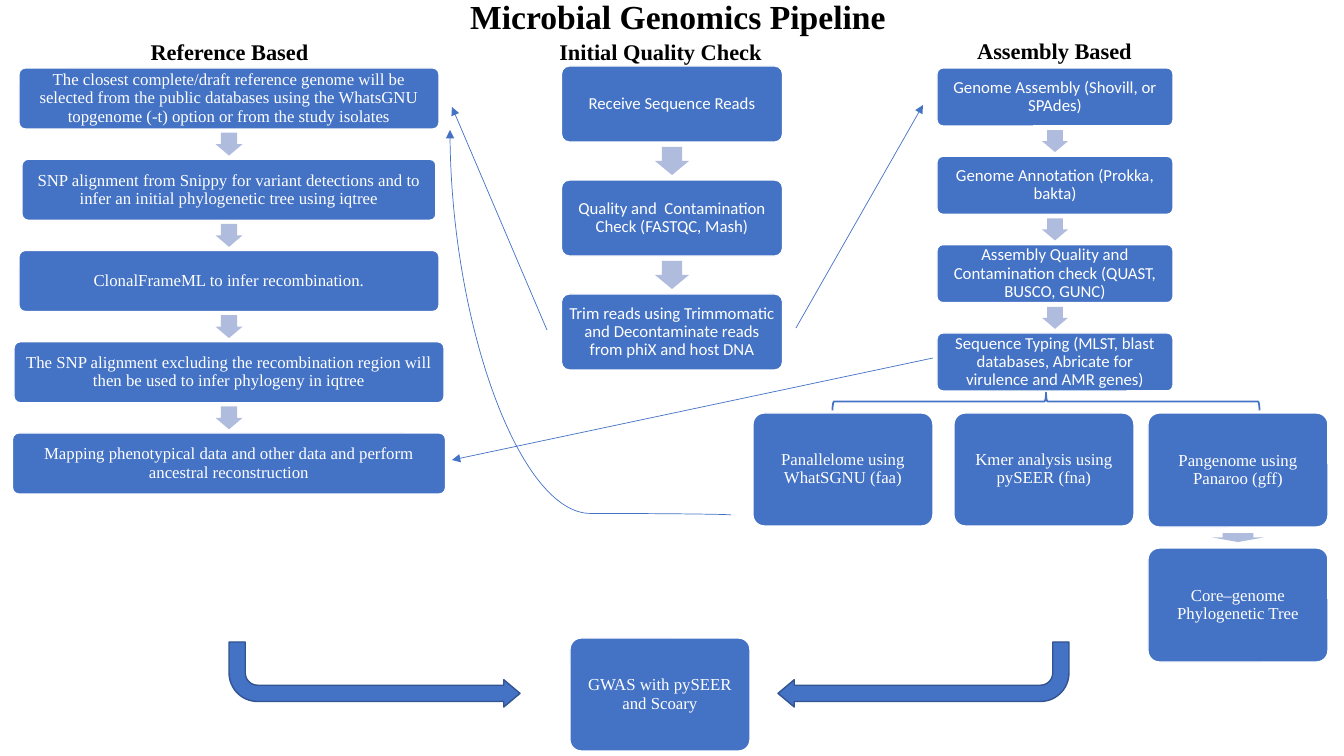
from dataclasses import dataclass

from lxml.etree import SubElement
from pptx import Presentation
from pptx.dml.color import RGBColor
from pptx.enum.shapes import MSO_CONNECTOR, MSO_SHAPE
from pptx.enum.text import MSO_ANCHOR, PP_ALIGN
from pptx.oxml.ns import qn
from pptx.util import Emu, Pt

BLUE = RGBColor(0x44, 0x72, 0xC4)
PALE_BLUE = RGBColor(0xB0, 0xBC, 0xDE)
DARK_BLUE = RGBColor(0x32, 0x54, 0x91)
WHITE = RGBColor(0xFF, 0xFF, 0xFF)
BLACK = RGBColor(0, 0, 0)
SERIF, SANS = "Times New Roman", "Calibri"
EMU_PER_PIXEL = 914400 / 100.8


@dataclass
class Heading:
    text: str
    left: int
    top: int
    width: int
    height: int
    size: int


@dataclass
class Step:
    text: str
    width: int


@dataclass
class Column:
    """Boxes spread evenly from first_top to last_top, with arrows in the gaps."""
    centre: int
    first_top: int
    last_top: int
    height: int
    font: str
    steps: list[Step]
    arrow_length: int = 0
    arrow_breadth: int = 0


@dataclass
class Link:
    start: tuple[int, int]
    end: tuple[int, int]
    kind: MSO_CONNECTOR = MSO_CONNECTOR.STRAIGHT


HEADINGS = [
    Heading("Microbial Genomics Pipeline", 320, -9, 716, 50, 24),
    Heading("Reference Based", -9, 33, 477, 37, 16),
    Heading("Initial Quality Check", 422, 33, 477, 37, 16),
    Heading("Assembly Based", 816, 32, 477, 37, 16),
]

COLUMNS = [
    Column(672, 66, 294, 76, SANS, [
        Step("Receive Sequence Reads", 221),
        Step("Quality and  Contamination Check (FASTQC, Mash)", 221),
        Step("Trim reads using Trimmomatic and Decontaminate reads from phiX and host DNA", 221),
    ], 28, 34),
    Column(1055, 68, 333, 58, SANS, [
        Step("Genome Assembly (Shovill, or SPAdes)", 236),
        Step("Genome Annotation (Prokka, bakta)", 236),
        Step("Assembly Quality and Contamination check (QUAST, BUSCO, GUNC)", 236),
        Step("Sequence Typing (MLST, blast databases, Abricate for virulence and AMR genes)", 236),
    ], 22, 26),
    Column(229, 68, 433, 61, SERIF, [
        Step("The closest complete/draft reference genome will be selected from the public databases "
             "using the WhatsGNU topgenome (-t) option or from the study isolates", 420),
        Step("SNP alignment from Snippy for variant detections and to infer an initial "
             "phylogenetic tree using iqtree", 414),
        Step("ClonalFrameML to infer recombination.", 420),
        Step("The SNP alignment excluding the recombination region will then be used to infer "
             "phylogeny in iqtree", 430),
        Step("Mapping phenotypical data and other data and perform ancestral reconstruction", 433),
    ], 23, 27),
    Column(1238, 413, 548, 114, SERIF, [
        Step("Pangenome using Panaroo (gff)", 180),
        Step("Core–genome Phylogenetic Tree", 180),
    ], 9, 51),
    Column(1044, 413, 413, 113, SERIF, [Step("Kmer analysis using pySEER (fna)", 180)]),
    Column(843, 413, 413, 113, SERIF, [Step("Panallelome using WhatSGNU (faa)", 180)]),
    Column(660, 638, 638, 113, SERIF, [Step("GWAS with pySEER and Scoary", 180)]),
]

LINKS = [
    Link((547, 330), (452, 107)),
    Link((796, 328), (923, 105)),
    Link((933, 358), (452, 460)),
]
# Given before its quarter turn
FEEDBACK_CURVE = Link((398, 463), (783, 182), MSO_CONNECTOR.CURVE)


def px(pixels: float) -> Emu:
    return Emu(round(pixels * EMU_PER_PIXEL))


deck = Presentation()
deck.slide_width, deck.slide_height = px(1344), px(756)
page = deck.slides.add_slide(deck.slide_layouts[6])


def add_span(para, text: str, font: str, size: int, color: RGBColor, bold: bool = False) -> None:
    span = para.add_run()
    span.text = text
    span.font.name, span.font.size = font, Pt(size)
    span.font.color.rgb, span.font.bold = color, bold


def add_preset(preset, left: float, top: float, width: float, height: float,
               fill=None, line=None, line_width: float = 1, rotation: int = 0, adjust=()):
    shape = page.shapes.add_shape(preset, px(left), px(top), px(width), px(height))
    shape.shadow.inherit = False
    shape.rotation = rotation
    for index, value in enumerate(adjust):
        shape.adjustments[index] = value
    if fill is None:
        shape.fill.background()
    else:
        shape.fill.solid()
        shape.fill.fore_color.rgb = fill
    if line is None:
        shape.line.fill.background()
    else:
        shape.line.color.rgb, shape.line.width = line, Pt(line_width)
    return shape


def add_heading(heading: Heading) -> None:
    box = page.shapes.add_textbox(px(heading.left), px(heading.top),
                                  px(heading.width), px(heading.height))
    box.text_frame.word_wrap = True
    para = box.text_frame.paragraphs[0]
    para.alignment = PP_ALIGN.CENTER
    add_span(para, heading.text, SERIF, heading.size, BLACK, bold=True)


def add_step(step: Step, column: Column, top: float) -> None:
    box = add_preset(MSO_SHAPE.ROUNDED_RECTANGLE, column.centre - step.width / 2, top,
                     step.width, column.height, BLUE, WHITE, adjust=(0.1,))
    frame = box.text_frame
    frame.word_wrap = True
    frame.vertical_anchor = MSO_ANCHOR.MIDDLE
    frame.margin_left = frame.margin_right = frame.margin_top = frame.margin_bottom = px(5)
    para = frame.paragraphs[0]
    para.alignment, para.line_spacing = PP_ALIGN.CENTER, 0.9
    add_span(para, step.text, column.font, 12, WHITE)


def add_column(column: Column) -> None:
    pitch = (column.last_top - column.first_top) / max(len(column.steps) - 1, 1)
    for index, step in enumerate(column.steps):
        top = column.first_top + index * pitch
        add_step(step, column, top)
        if index:
            gap_middle = top - (pitch - column.height) / 2
            add_preset(MSO_SHAPE.RIGHT_ARROW, column.centre - column.arrow_length / 2,
                       gap_middle - column.arrow_breadth / 2, column.arrow_length,
                       column.arrow_breadth, PALE_BLUE, rotation=90, adjust=(0.6, 0.5))


def add_link(link: Link):
    connector = page.shapes.add_connector(link.kind, *map(px, link.start + link.end))
    connector.line.color.rgb, connector.line.width = BLUE, Pt(0.5)
    properties = connector.element.spPr
    SubElement(properties.find(qn("a:ln")), qn("a:tailEnd"), type="triangle")
    SubElement(properties, qn("a:effectLst"))
    return connector


# Headings and flow columns
for heading in HEADINGS:
    add_heading(heading)
for column in COLUMNS:
    add_column(column)

# Links between the columns
for link in LINKS:
    add_link(link)
curve = add_link(FEEDBACK_CURVE).element.spPr
curve.find(qn("a:xfrm")).set("rot", str(270 * 60000))
guides = curve.find(qn("a:prstGeom")).find(qn("a:avLst"))
SubElement(guides, qn("a:gd"), name="adj1", fmla="val 400")

# Brace over the three analyses
add_preset(MSO_SHAPE.LEFT_BRACE, 1037, 188, 18, 427, line=BLUE, line_width=1.25, rotation=90)

# Bent arrows into the final box
for left, mirrored in ((778, False), (229, True)):
    arrow = add_preset(MSO_SHAPE.BENT_ARROW, left, 642, 291, 65, BLUE, DARK_BLUE,
                       rotation=180, adjust=(0.25, 0.21, 0.25, 0.44))
    if mirrored:
        arrow.element.spPr.find(qn("a:xfrm")).set("flipH", "1")

deck.save("out.pptx")
